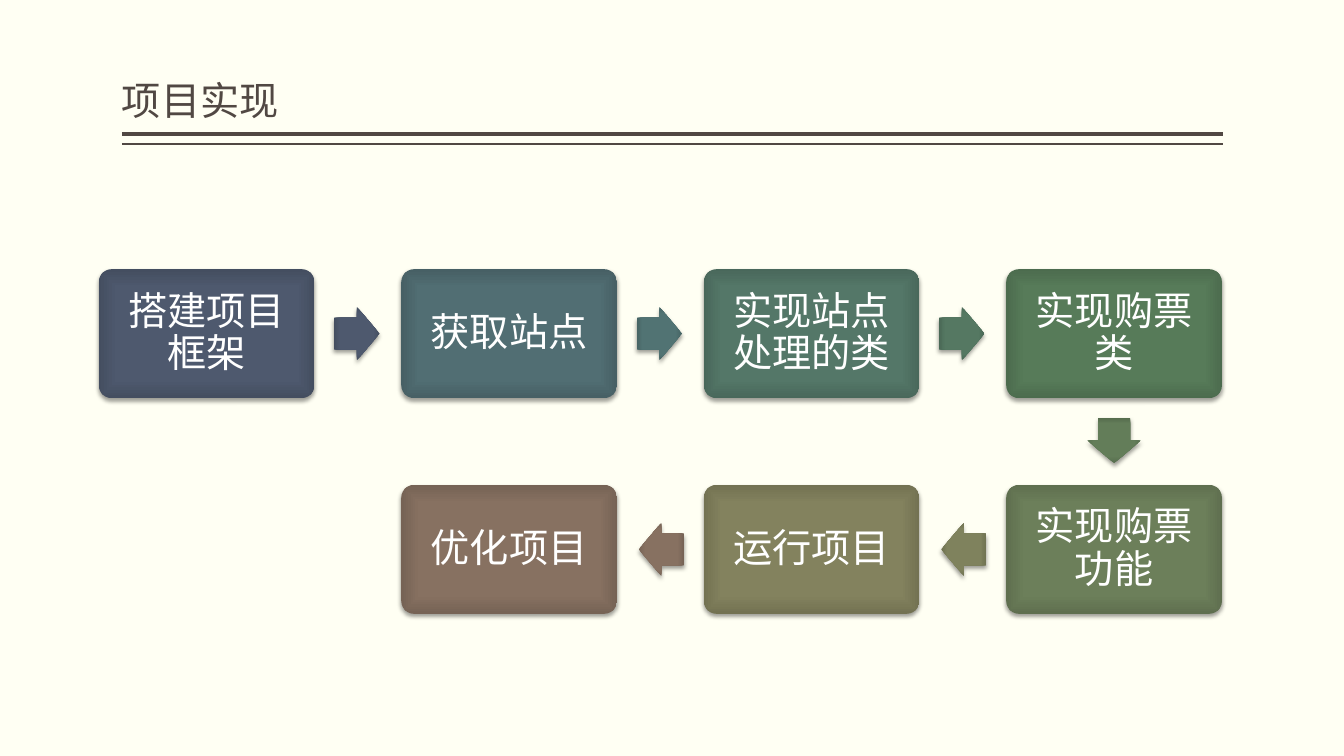
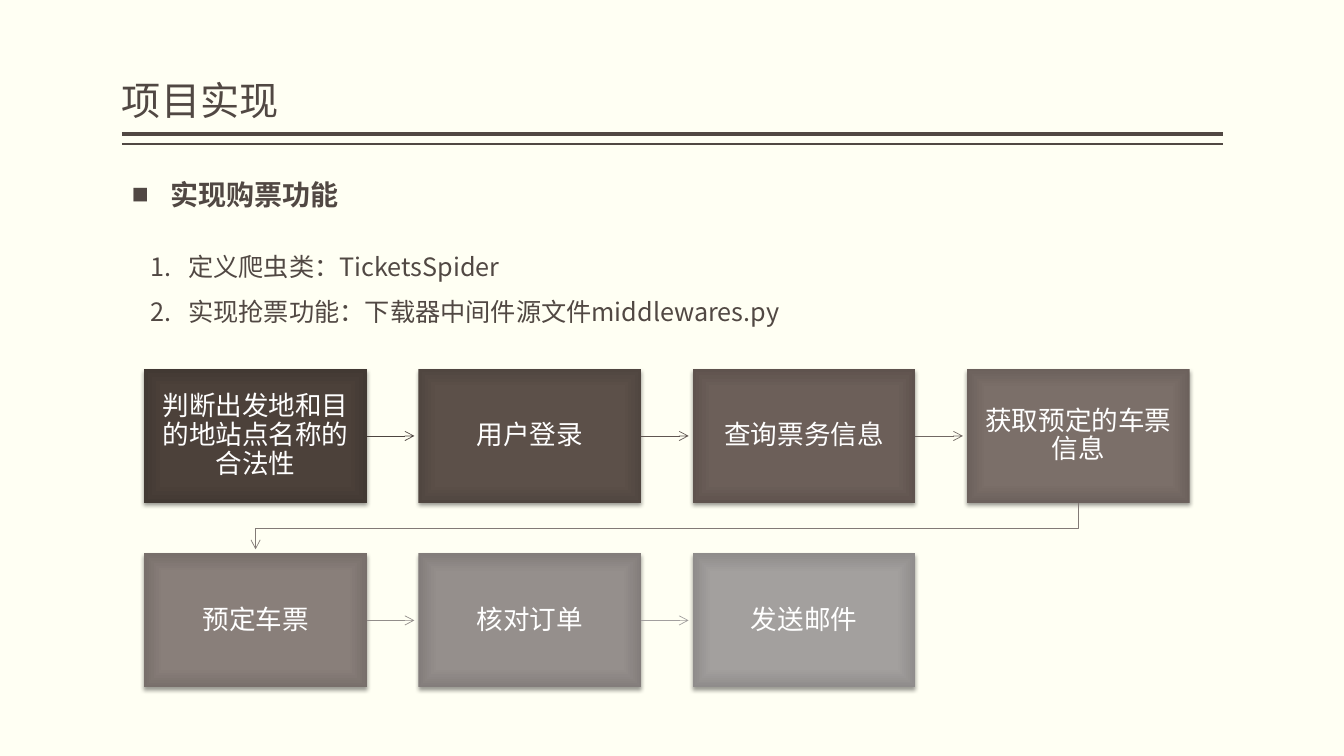
import lxml.etree
import pptx
import pptx.dml.color
import pptx.enum.shapes
import pptx.enum.text
import pptx.oxml
import pptx.oxml.ns
import pptx.util

Inches = pptx.util.Inches
Pt = pptx.util.Pt
RGBColor = pptx.dml.color.RGBColor
SHAPE = pptx.enum.shapes.MSO_SHAPE
ALIGN = pptx.enum.text.PP_ALIGN
ANCHOR = pptx.enum.text.MSO_ANCHOR
STRAIGHT = pptx.enum.shapes.MSO_CONNECTOR.STRAIGHT
qn = pptx.oxml.ns.qn

CREAM = RGBColor(0xFF, 0xFF, 0xF3)
BROWN = RGBColor(0x51, 0x48, 0x43)
WHITE = RGBColor(0xFF, 0xFF, 0xFF)
FONT = "Noto Sans CJK SC"
SERIF = "Times New Roman"
EDGE_SHADE = 0.88

NAVY = RGBColor(0x4E, 0x59, 0x6E)
PETROL = RGBColor(0x51, 0x6E, 0x73)
TEAL = RGBColor(0x51, 0x73, 0x73)
JADE = RGBColor(0x54, 0x77, 0x68)
FERN = RGBColor(0x55, 0x78, 0x62)
GREEN = RGBColor(0x57, 0x7B, 0x59)
MOSS = RGBColor(0x63, 0x7D, 0x59)
SAGE = RGBColor(0x6C, 0x7F, 0x5A)
OLIVE = RGBColor(0x7F, 0x82, 0x5D)
KHAKI = RGBColor(0x83, 0x82, 0x5E)
CLAY = RGBColor(0x87, 0x71, 0x61)

PROJECT_STEPS = [
    ("搭建项目框架", 0, 0, NAVY, NAVY),
    ("获取站点", 1, 0, PETROL, TEAL),
    ("实现站点处理的类", 2, 0, JADE, FERN),
    ("实现购票类", 3, 0, GREEN, MOSS),
    ("实现购票功能", 3, 1, SAGE, OLIVE),
    ("运行项目", 2, 1, KHAKI, CLAY),
    ("优化项目", 1, 1, CLAY, None),
]
TICKET_STEPS = [
    ("判断出发地和目的地站点名称的合法性", RGBColor(0x4C, 0x41, 0x3A), RGBColor(0x4D, 0x45, 0x40)),
    ("用户登录", RGBColor(0x5C, 0x50, 0x49), RGBColor(0x60, 0x56, 0x51)),
    ("查询票务信息", RGBColor(0x6C, 0x5F, 0x59), RGBColor(0x71, 0x68, 0x63)),
    ("获取预定的车票信息", RGBColor(0x7B, 0x6F, 0x69), RGBColor(0x82, 0x7A, 0x76)),
    ("预定车票", RGBColor(0x89, 0x7F, 0x7A), RGBColor(0x92, 0x8D, 0x8A)),
    ("核对订单", RGBColor(0x95, 0x8F, 0x8C), RGBColor(0xA2, 0x9F, 0x9E)),
    ("发送邮件", RGBColor(0xA3, 0xA0, 0x9E), None),
]


def add_text(paragraph, text, size, color, font=FONT, bold=False):
    run = paragraph.add_run()
    run.text = text
    run.font.size = Pt(size)
    run.font.bold = bold
    run.font.name = font
    run.font.color.rgb = color
    east_asian = lxml.etree.Element(qn("a:ea"), typeface=FONT)
    run.font._element.find(qn("a:latin")).addnext(east_asian)


def set_insets(frame, horizontal, vertical):
    frame.word_wrap = True
    frame.margin_left = frame.margin_right = Inches(horizontal)
    frame.margin_top = frame.margin_bottom = Inches(vertical)


def add_text_box(slide, left, top, width, height):
    box = slide.shapes.add_textbox(Inches(left), Inches(top), Inches(width), Inches(height))
    box.text_frame.word_wrap = True
    return box.text_frame


def add_bevel_shape(slide, kind, left, top, width, height, color):
    shape = slide.shapes.add_shape(kind, Inches(left), Inches(top), Inches(width), Inches(height))
    shape.line.fill.background()
    shape.fill.solid()
    edge = RGBColor(*(int(part * EDGE_SHADE) for part in color))
    gradient = pptx.oxml.parse_xml(
        f'<a:gradFill {pptx.oxml.ns.nsdecls("a")} rotWithShape="1"><a:gsLst>'
        f'<a:gs pos="0"><a:srgbClr val="{color}"/></a:gs>'
        f'<a:gs pos="71000"><a:srgbClr val="{color}"/></a:gs>'
        f'<a:gs pos="100000"><a:srgbClr val="{edge}"/></a:gs></a:gsLst>'
        '<a:path path="rect"><a:fillToRect l="50000" t="50000" r="50000" b="50000"/></a:path>'
        '</a:gradFill>')
    properties = shape.element.spPr
    properties.replace(properties.find(qn("a:solidFill")), gradient)
    shape.shadow.inherit = False
    properties.find(qn("a:effectLst")).append(pptx.oxml.parse_xml(
        f'<a:outerShdw {pptx.oxml.ns.nsdecls("a")} blurRad="{Pt(3.1)}" dist="{Pt(2)}" '
        'dir="5400000" rotWithShape="0"><a:srgbClr val="000000"><a:alpha val="38000"/>'
        '</a:srgbClr></a:outerShdw>'))
    return shape


def add_step_box(slide, kind, left, top, width, height, color, text, size, inset):
    shape = add_bevel_shape(slide, kind, left, top, width, height, color)
    set_insets(shape.text_frame, inset, inset)
    shape.text_frame.vertical_anchor = ANCHOR.MIDDLE
    paragraph = shape.text_frame.paragraphs[0]
    paragraph.alignment = ALIGN.CENTER
    paragraph.line_spacing = 0.9
    add_text(paragraph, text, size, WHITE)
    return shape


def add_line(slide, start, end, color, weight):
    line = slide.shapes.add_connector(STRAIGHT, *(Inches(value) for value in (*start, *end)))
    line.line.color.rgb = color
    line.line.width = Pt(weight)
    lxml.etree.SubElement(line.element.spPr, qn("a:effectLst"))
    return line


def add_arrowhead(shape):
    outline = shape.element.spPr.find(qn("a:ln"))
    lxml.etree.SubElement(outline, qn("a:tailEnd"), type="arrow")


def add_header(slide, left, top, width, height, title):
    frame = add_text_box(slide, left, top, width, height)
    set_insets(frame, 0, 0.05)
    frame.vertical_anchor = ANCHOR.BOTTOM
    frame.paragraphs[0].line_spacing = 0.9
    add_text(frame.paragraphs[0], title, 28, BROWN)
    for gap, weight in ((0.05, 3), (0.15, 1)):
        rule = top + height + gap
        add_line(slide, (left, rule), (left + width, rule), BROWN, weight)


def format_list_item(paragraph, spacing, font, tag, **attributes):
    paragraph.alignment = ALIGN.JUSTIFY
    paragraph.line_spacing = spacing
    properties = paragraph._p.get_or_add_pPr()
    properties.set("marL", str(Inches(0.38)))
    properties.set("indent", str(-Inches(0.38)))
    lxml.etree.SubElement(properties, qn("a:buFont"), typeface=font)
    lxml.etree.SubElement(properties, qn(tag), **attributes)


def add_section_heading(slide, left, top, width, height, text):
    paragraph = add_text_box(slide, left, top, width, height).paragraphs[0]
    format_list_item(paragraph, 1.15, SERIF, "a:buChar", char="■")
    add_text(paragraph, text, 20, BROWN, SERIF, True)


def add_numbered_list(slide, left, top, width, height, items):
    frame = add_text_box(slide, left, top, width, height)
    for index, item in enumerate(items):
        paragraph = frame.add_paragraph() if index else frame.paragraphs[0]
        format_list_item(paragraph, 1.5, FONT, "a:buAutoNum", type="arabicPeriod")
        add_text(paragraph, item, 18, BROWN)


def add_project_flow(slide, left, top):
    width, height = 2.14, 1.28
    column_pitch, row_pitch = 3, 2.14
    arrow_width, arrow_height, arrow_reach = 0.45, 0.53, 0.42
    for index, (text, column, row, color, arrow_color) in enumerate(PROJECT_STEPS):
        x = left + column * column_pitch
        y = top + row * row_pitch
        box = add_step_box(slide, SHAPE.ROUNDED_RECTANGLE, x, y, width, height, color, text, 28, 0.12)
        box.adjustments[0] = 0.1
        if arrow_color is None:
            continue
        next_column, next_row = PROJECT_STEPS[index + 1][1:3]
        across, down = next_column - column, next_row - row
        center_x = x + width / 2 + across * (width / 2 + arrow_reach)
        center_y = y + height / 2 + down * (height / 2 + arrow_reach)
        arrow = add_bevel_shape(slide, SHAPE.RIGHT_ARROW, center_x - arrow_width / 2,
                                center_y - arrow_height / 2, arrow_width, arrow_height, arrow_color)
        arrow.adjustments[0], arrow.adjustments[1] = 0.6, 0.5
        arrow.rotation = 90 if down else 90 - 90 * across


def add_return_line(slide, points, color):
    corners = [(Inches(x), Inches(y)) for x, y in points]
    builder = slide.shapes.build_freeform(*corners[0])
    builder.add_line_segments(corners[1:], close=False)
    path_line = builder.convert_to_shape()
    path_line.fill.background()
    path_line.shadow.inherit = False
    path_line.line.color.rgb = color
    path_line.line.width = Pt(0.5)
    add_arrowhead(path_line)


def add_ticket_flow(slide, left, top):
    width, height = 2.21, 1.33
    column_pitch, row_pitch = 2.72, 1.83
    columns, clearance = 4, 0.04
    for index, (text, color, line_color) in enumerate(TICKET_STEPS):
        row, column = divmod(index, columns)
        x = left + column * column_pitch
        y = top + row * row_pitch
        box = add_step_box(slide, SHAPE.RECTANGLE, x, y, width, height, color, text, 19, 0.15)
        if line_color is None:
            continue
        if column < columns - 1:
            middle = y + height / 2
            line = add_line(slide, (x + width, middle), (x + column_pitch - clearance, middle), line_color, 0.5)
            line.begin_connect(box, 3)
            add_arrowhead(line)
        else:
            start_x, end_x = x + width / 2, left + width / 2
            bottom, next_top = y + height, y + row_pitch
            turn = (bottom + next_top) / 2
            add_return_line(slide, [(start_x, bottom), (start_x, turn), (end_x, turn),
                                    (end_x, next_top - clearance)], line_color)


def add_content_slide(presentation, title):
    slide = presentation.slides.add_slide(presentation.slide_layouts[6])
    slide.background.fill.solid()
    slide.background.fill.fore_color.rgb = CREAM
    add_header(slide, 1.21, 0.08, 10.92, 1.2, title)
    return slide


def build_project_slide(presentation):
    slide = add_content_slide(presentation, "项目实现")
    add_project_flow(slide, 0.98, 2.67)


def build_ticket_slide(presentation):
    slide = add_content_slide(presentation, "项目实现")
    add_section_heading(slide, 1.21, 1.66, 4.07, 0.47, "实现购票功能")
    add_numbered_list(slide, 1.39, 2.29, 6.67, 0.96, [
        "定义爬虫类：TicketsSpider",
        "实现抢票功能：下载器中间件源文件middlewares.py",
    ])
    add_ticket_flow(slide, 1.43, 3.66)


def main():
    presentation = pptx.Presentation()
    presentation.slide_width = Inches(13.33)
    presentation.slide_height = Inches(7.5)
    build_project_slide(presentation)
    build_ticket_slide(presentation)
    presentation.save("out.pptx")


if __name__ == "__main__":
    main()
